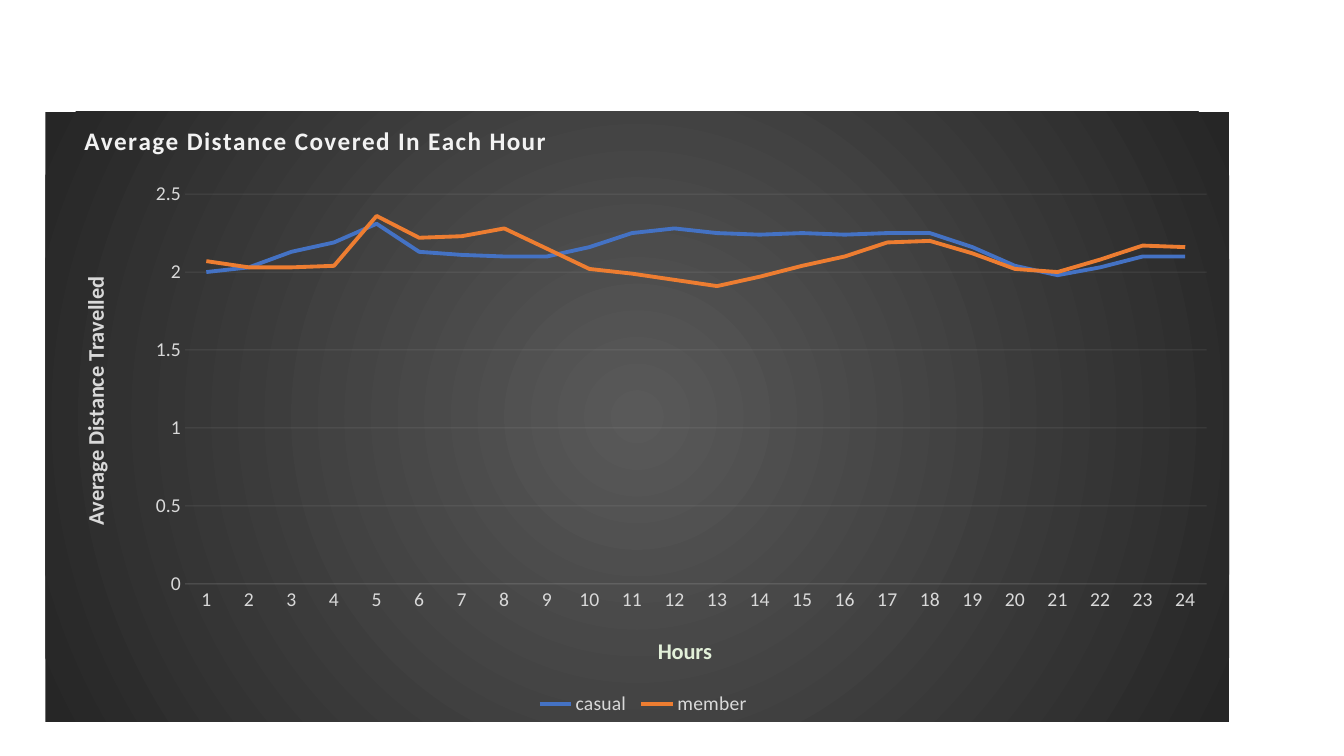
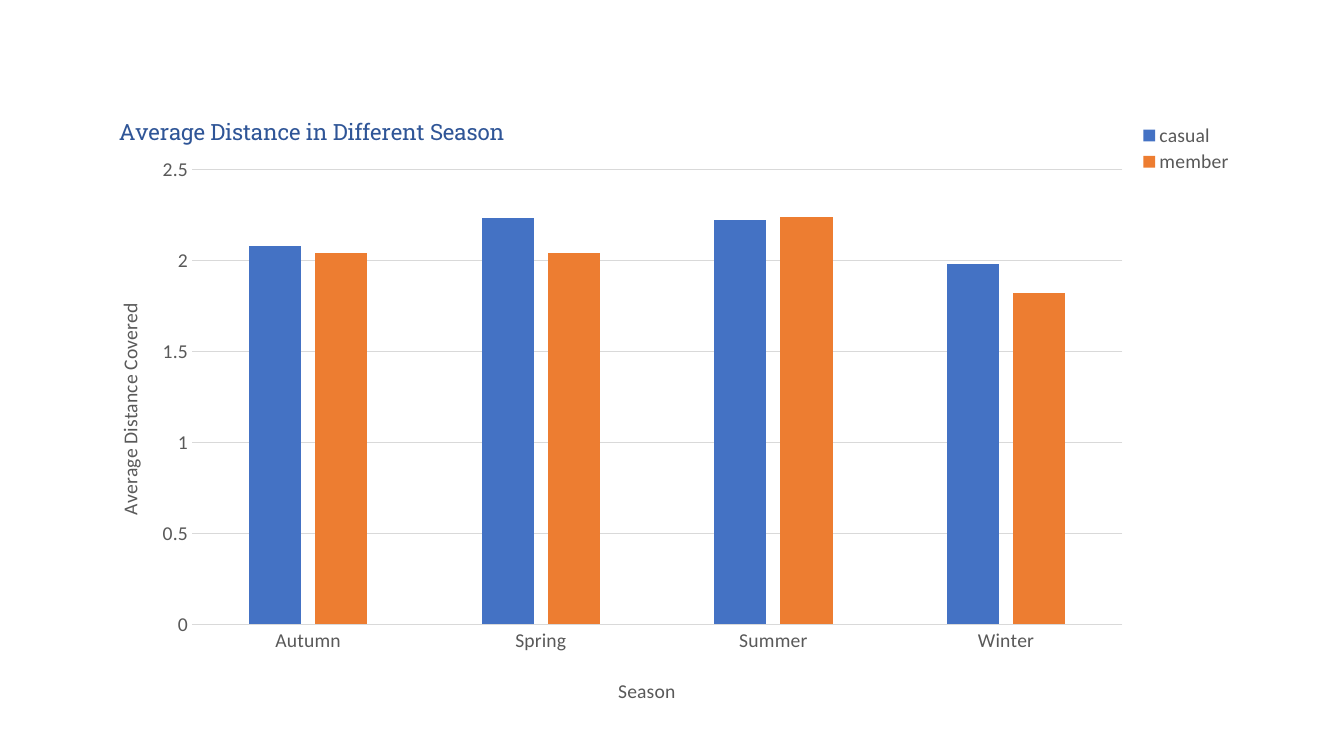
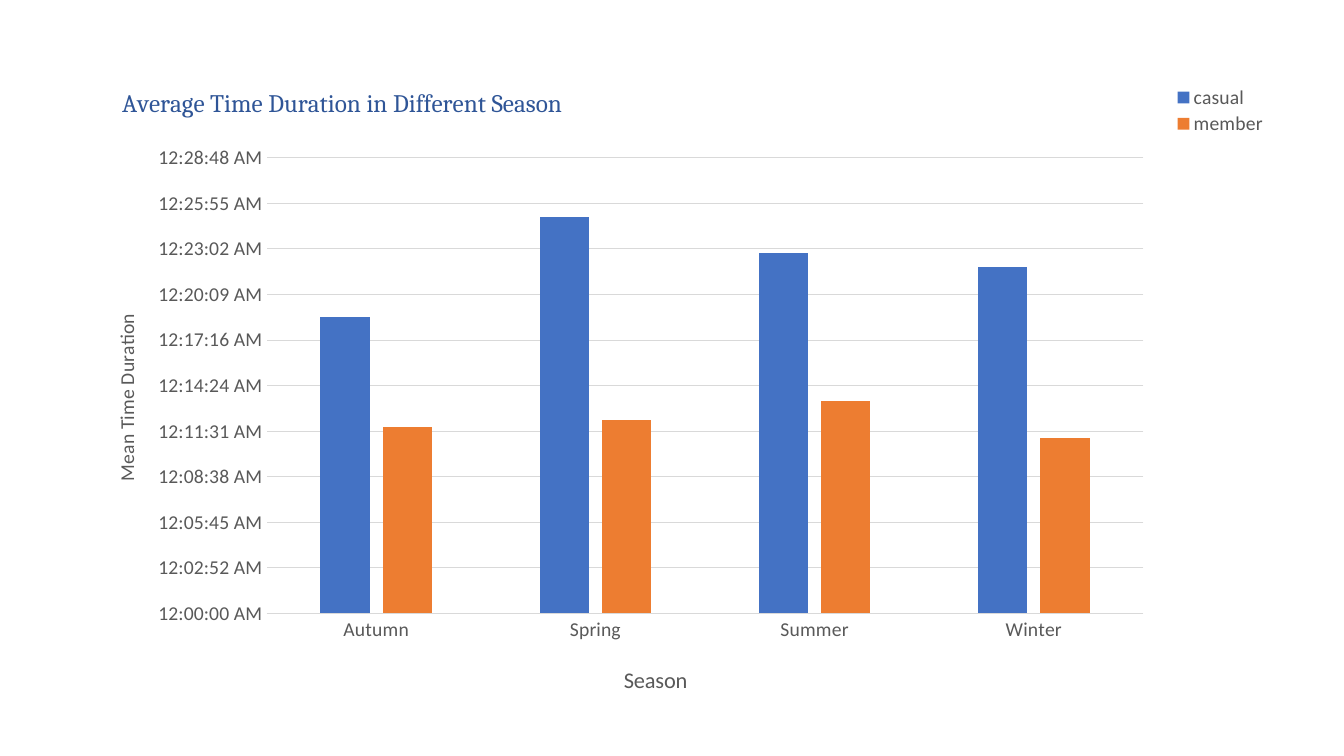
from dataclasses import dataclass

from lxml import etree
from pptx import Presentation
from pptx.chart.data import CategoryChartData
from pptx.dml.color import RGBColor
from pptx.enum.chart import XL_CHART_TYPE, XL_LEGEND_POSITION, XL_MARKER_STYLE, XL_TICK_MARK
from pptx.oxml import parse_xml
from pptx.oxml.ns import nsdecls, qn
from pptx.util import Inches, Pt


@dataclass(frozen=True)
class Theme:
    casual: str = "4472C4"
    member: str = "ED7D31"
    text: str = "595959"
    grid: str = "D9D9D9"
    heading: str = "2F5597"
    pale: str = "F2F2F2"
    pale_text: str = "D9D9D9"
    pale_green: str = "E2F0D9"
    dark_center: str = "595959"
    dark_edge: str = "262626"
    body_font: str = "Calibri"
    label_size: int = 14
    axis_title_size: int = 16
    heading_size: int = 18
    grid_width: float = 0.75
    series_width: float = 2.75


THEME = Theme()
SEASONS = ["Autumn", "Spring", "Summer", "Winter"]
HOURS = [str(hour) for hour in range(1, 25)]

HOURLY_DISTANCE = {
    "casual": [2, 2.03, 2.13, 2.19, 2.31, 2.13, 2.11, 2.1, 2.1, 2.16, 2.25, 2.28,
               2.25, 2.24, 2.25, 2.24, 2.25, 2.25, 2.16, 2.04, 1.98, 2.03, 2.1, 2.1],
    "member": [2.07, 2.03, 2.03, 2.04, 2.36, 2.22, 2.23, 2.28, 2.15, 2.02, 1.99, 1.95,
               1.91, 1.97, 2.04, 2.1, 2.19, 2.2, 2.12, 2.02, 2, 2.08, 2.17, 2.16],
}
SEASON_DISTANCE = {"casual": [2.08, 2.23, 2.22, 1.98], "member": [2.04, 2.04, 2.24, 1.82]}
SEASON_DURATION = {
    "casual": [0.013, 0.0174, 0.0158, 0.0152],
    "member": [0.0082, 0.0085, 0.0093, 0.0077],
}


def style_font(font, size=THEME.label_size, color=THEME.text, name=THEME.body_font, bold=False):
    font.size = Pt(size)
    font.name = name
    font.bold = bold
    font.color.rgb = RGBColor.from_string(color)


def write(frame, text, spacing=0, **font_format):
    """Put one run in the frame; spacing is letter spacing in points."""
    span = frame.paragraphs[0].add_run()
    span.text = text
    style_font(span.font, **font_format)
    if spacing:
        span._r.get_or_add_rPr().set("spc", str(round(spacing * 100)))


def set_layout(element, index, spot, inner=False):
    """Fix a chart part at (x, y) or (x, y, w, h), as fractions of the chart's box."""
    for old in element.findall(qn("c:layout")):
        element.remove(old)
    layout = parse_xml(f"<c:layout {nsdecls('c')}><c:manualLayout/></c:layout>")
    manual = layout[0]
    settings = [("layoutTarget", "inner")] if inner else []
    settings += [("xMode", "edge"), ("yMode", "edge")]
    settings += list(zip("xywh", spot))
    for tag, value in settings:
        etree.SubElement(manual, qn(f"c:{tag}")).set("val", str(value))
    element.insert(index, layout)


def add_title(title, text, spot, upright=False, **text_format):
    write(title.text_frame, text, **text_format)
    if upright:
        body = title.text_frame._txBody.find(qn("a:bodyPr"))
        body.set("rot", "-5400000")
        body.set("vert", "horz")
    set_layout(title._element, 1, spot)


def style_line(line, color, width=THEME.grid_width, opacity=None):
    line.width = Pt(width)
    line.color.rgb = RGBColor.from_string(color)
    if opacity is not None:
        swatch = next(line._ln.iter(qn("a:srgbClr")))
        etree.SubElement(swatch, qn("a:alpha")).set("val", str(opacity * 1000))


def fill_radial(chart, center, edge):
    fill = parse_xml(
        f'<c:spPr {nsdecls("c", "a")}><a:gradFill><a:gsLst>'
        f'<a:gs pos="0"><a:srgbClr val="{center}"/></a:gs>'
        f'<a:gs pos="100000"><a:srgbClr val="{edge}"/></a:gs></a:gsLst>'
        '<a:path path="circle"><a:fillToRect l="50000" t="50000" r="50000" b="50000"/></a:path>'
        "</a:gradFill><a:ln><a:noFill/></a:ln></c:spPr>"
    )
    chart._chartSpace.find(qn("c:chart")).addnext(fill)


def style_axes(chart, top, step, label_color, line_color, opacity, number_format):
    category, value = chart.category_axis, chart.value_axis
    for axis in (category, value):
        axis.major_tick_mark = axis.minor_tick_mark = XL_TICK_MARK.NONE
        style_font(axis.tick_labels.font, color=label_color)
    category.has_major_gridlines = False
    style_line(category.format.line, line_color, opacity=opacity)
    value.has_major_gridlines = True
    style_line(value.major_gridlines.format.line, line_color, opacity=opacity)
    value.format.line.fill.background()
    value.minimum_scale, value.maximum_scale, value.major_unit = 0, top, step
    value.tick_labels.number_format = number_format
    value.tick_labels.number_format_is_linked = False


def add_chart(page, box, kind, categories, series, plot, legend, legend_position,
              top=2.5, step=0.5, label_color=THEME.text, line_color=THEME.grid,
              opacity=None, number_format="General"):
    """Add a chart with styled axes and legend; plot and legend are fractions of box."""
    data = CategoryChartData(number_format=number_format)
    data.categories = categories
    for name, values in series.items():
        data.add_series(name, values)
    chart = page.shapes.add_chart(kind, *map(Inches, box), data).chart
    style_font(chart.font, size=10, color="000000")
    chart.plots[0].vary_by_categories = False
    style_axes(chart, top, step, label_color, line_color, opacity, number_format)
    set_layout(chart._chartSpace.chart.plotArea, 0, plot, inner=True)
    chart.has_legend = True
    chart.legend.position = legend_position
    chart.legend.include_in_layout = False
    style_font(chart.legend.font, color=label_color)
    set_layout(chart.legend._element, 1, legend)
    return chart


def add_line_panel(page, box):
    chart = add_chart(
        page, box, XL_CHART_TYPE.LINE, HOURS, HOURLY_DISTANCE,
        plot=(0.118, 0.135, 0.863, 0.639), legend=(0.41, 0.948, 0.19, 0.05),
        legend_position=XL_LEGEND_POSITION.BOTTOM,
        label_color=THEME.pale_text, line_color=THEME.pale, opacity=10)
    fill_radial(chart, THEME.dark_center, THEME.dark_edge)
    for line, color in zip(chart.series, (THEME.casual, THEME.member)):
        line.smooth = False
        line.marker.style = XL_MARKER_STYLE.NONE
        style_line(line.format.line, color, THEME.series_width)
    add_title(chart.chart_title, "Average Distance Covered In Each Hour", (0.029, 0.011),
              size=THEME.heading_size, color=THEME.pale, bold=True, spacing=1)
    add_title(chart.category_axis.axis_title, "Hours", (0.514, 0.853),
              size=THEME.axis_title_size, color=THEME.pale_green, bold=True)
    add_title(chart.value_axis.axis_title, "Average Distance Travelled", (0.026, 0.264),
              upright=True, size=THEME.axis_title_size, color=THEME.pale_text, bold=True)


def add_season_columns(page, box, series, heading, heading_spot, heading_format,
                       season_spot, season_size, measure, measure_spot, **chart_format):
    chart = add_chart(page, box, XL_CHART_TYPE.COLUMN_CLUSTERED, SEASONS, series,
                      legend_position=XL_LEGEND_POSITION.RIGHT, **chart_format)
    chart.plots[0].gap_width = 219
    chart.plots[0].overlap = -27
    for columns, color in zip(chart.series, (THEME.casual, THEME.member)):
        columns.format.fill.solid()
        columns.format.fill.fore_color.rgb = RGBColor.from_string(color)
    add_title(chart.chart_title, heading, heading_spot, color=THEME.heading, **heading_format)
    add_title(chart.category_axis.axis_title, "Season", season_spot, size=season_size)
    add_title(chart.value_axis.axis_title, measure, measure_spot, upright=True)


def main():
    deck = Presentation()
    deck.slide_width, deck.slide_height = Inches(13.33), Inches(7.5)
    hourly, distance, duration = (
        deck.slides.add_slide(deck.slide_layouts[6]) for _ in range(3))

    add_line_panel(hourly, (0.45, 1.11, 11.74, 6.05))
    add_season_columns(
        distance, (0.85, 0.83, 11.58, 6.29), SEASON_DISTANCE,
        "Average Distance in Different Season", (0.025, 0.042),
        {"size": THEME.axis_title_size, "name": "Roboto Slab"},
        season_spot=(0.453, 0.93), season_size=THEME.label_size,
        measure="Average Distance Covered", measure_spot=(0.023, 0.34),
        plot=(0.091, 0.135, 0.797, 0.718), legend=(0.9, 0.06, 0.085, 0.085))
    add_season_columns(
        duration, (0.8, 0.7, 11.83, 6.36), SEASON_DURATION,
        "Average Time Duration in Different Season", (0.031, 0.017),
        {"size": THEME.heading_size, "name": "Cambria"},
        season_spot=(0.452, 0.921), season_size=THEME.axis_title_size,
        measure="Mean Time Duration", measure_spot=(0.024, 0.374),
        plot=(0.156, 0.136, 0.735, 0.711), legend=(0.913, 0.02, 0.085, 0.085),
        top=0.02, step=0.002, number_format=r"[$-F400]h:mm:ss\ AM/PM")
    deck.save("out.pptx")


if __name__ == "__main__":
    main()
